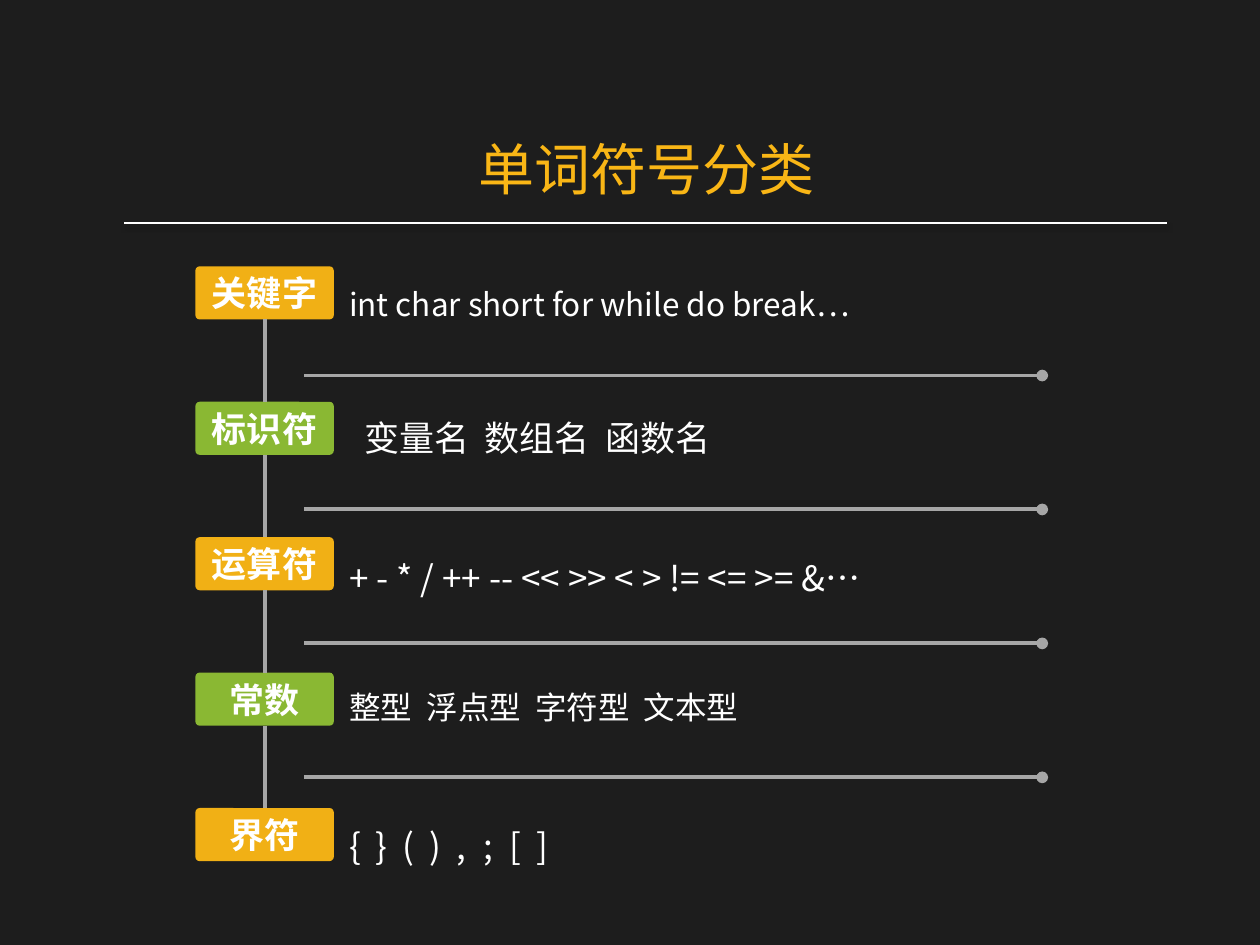
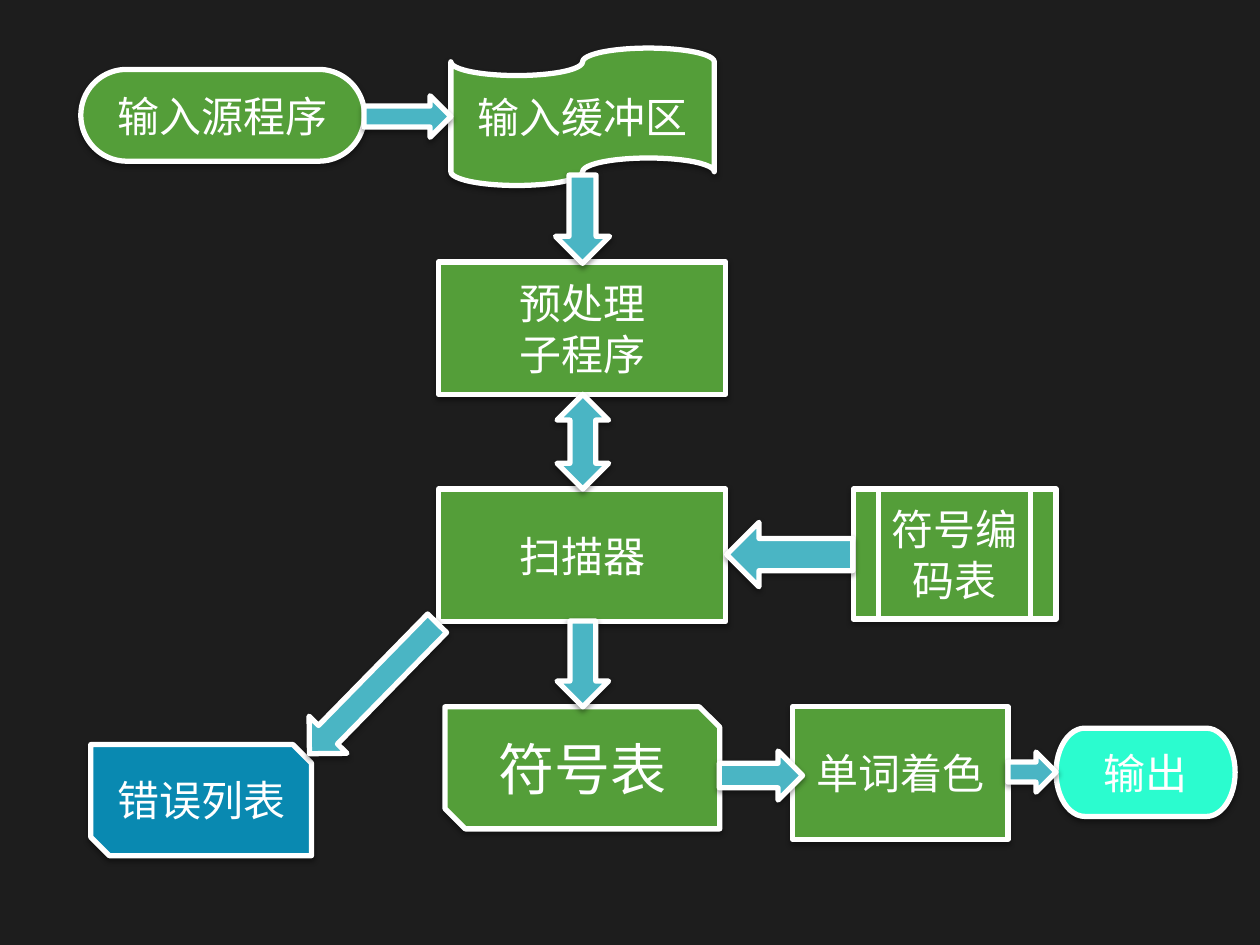
"""Builds two dark slides on lexical analysis: token classes and the scanner flow."""
from itertools import accumulate, pairwise

from lxml import etree
from pptx import Presentation
from pptx import util as u
from pptx.dml.color import RGBColor
from pptx.enum import shapes, text
from pptx.oxml.ns import qn

COLOURS = {
    "ground": "1D1D1D", "title": "F9B616", "white": "FFFFFF", "rule": "A6A6A6",
    "amber": "F1B015", "lime": "8AB833", "green": "549E39", "blue": "0989B1",
    "mint": "2BFCCF", "teal": "4AB5C4", "shadow": "000000",
}
BODY_FONT = "Noto Sans CJK SC"
LABEL_FONT = "TeX Gyre Adventor"
PRESET = shapes.MSO_SHAPE
TIGHT = (0.18, 0.1)


def rgb(name):
    return RGBColor.from_string(COLOURS[name])


def add_shadow(effects):
    outer = etree.SubElement(
        effects, qn("a:outerShdw"), blurRad=str(u.Pt(3.1)), dist=str(u.Pt(1.6)),
        dir=str(90 * 60000), algn="ctr", rotWithShape="0")
    tone = etree.SubElement(outer, qn("a:srgbClr"), val=COLOURS["shadow"])
    etree.SubElement(tone, qn("a:alpha"), val="38000")


class Deck:
    def __init__(self):
        self.prs = Presentation()
        self.prs.slide_width, self.prs.slide_height = u.Cm(25.4), u.Cm(19.05)
        ground = self.prs.slide_master.background.fill
        ground.solid()
        ground.fore_color.rgb = rgb("ground")
        self.slide = None

    def new_slide(self, layout):
        self.slide = self.prs.slides.add_slide(self.prs.slide_layouts.get_by_name(layout))

    def set_words(self, frame, words, size, colour="white", font=BODY_FONT, bold=False,
                  align=text.PP_ALIGN.LEFT, spacing=None, tabs=(), insets=None):
        frame.text = words
        frame.word_wrap = True
        if insets:
            frame.margin_left = frame.margin_right = u.Cm(insets[0])
            frame.margin_top = frame.margin_bottom = u.Cm(insets[1])
        for paragraph in frame.paragraphs:
            if tabs:
                stops = etree.SubElement(paragraph._p.get_or_add_pPr(), qn("a:tabLst"))
                for stop in tabs:
                    etree.SubElement(stops, qn("a:tab"), pos=str(u.Cm(stop)), algn="l")
            paragraph.alignment = align
            if spacing:
                paragraph.line_spacing = spacing
            for run in paragraph.runs:
                run.font.size, run.font.bold, run.font.name = u.Pt(size), bold, font
                run.font.color.rgb = rgb(colour)
                etree.SubElement(run._r.get_or_add_rPr(), qn("a:ea"), typeface=BODY_FONT)

    def title(self, words, box):
        heading = self.slide.shapes.title
        heading.left, heading.top, heading.width, heading.height = map(u.Cm, box)
        self.set_words(heading.text_frame, words, 32, "title", align=text.PP_ALIGN.CENTER)
        heading.text_frame.auto_size = text.MSO_AUTO_SIZE.NONE
        heading.text_frame.vertical_anchor = text.MSO_ANCHOR.TOP

    def note(self, words, box, size, tabs=()):
        frame = self.slide.shapes.add_textbox(*map(u.Cm, box)).text_frame
        self.set_words(frame, words, size, spacing=1.3, tabs=tabs, insets=TIGHT)

    def block(self, preset, box, fill, outlined=True, turn=0):
        block = self.slide.shapes.add_shape(preset, *map(u.Cm, box))
        block.rotation = turn
        block.fill.solid()
        block.fill.fore_color.rgb = rgb(fill)
        block.shadow.inherit = False
        if outlined:
            block.line.color.rgb = rgb("white")
            block.line.width = u.Pt(3)
            add_shadow(block._element.spPr.find(qn("a:effectLst")))
        else:
            block.line.fill.background()
        return block

    def step(self, words, preset, box, fill="green", size=24):
        stage = self.block(preset, box, fill)
        self.set_words(stage.text_frame, words, size, font=LABEL_FONT,
                       align=text.PP_ALIGN.CENTER)

    def tag(self, words, box, fill):
        tag = self.block(PRESET.ROUNDED_RECTANGLE, box, fill, outlined=False)
        tag.adjustments[0] = 0.08
        self.set_words(tag.text_frame, words, 20, font=LABEL_FONT, bold=True,
                       align=text.PP_ALIGN.CENTER, insets=TIGHT)
        return tag

    def line(self, ends=(0, 0, 0, 0), colour="rule", width=2.25, dot=False, shadow=False):
        line = self.slide.shapes.add_connector(shapes.MSO_CONNECTOR.STRAIGHT, *map(u.Cm, ends))
        line.line.color.rgb = rgb(colour)
        line.line.width = u.Pt(width)
        if dot:
            outline = line._element.spPr.find(qn("a:ln"))
            etree.SubElement(outline, qn("a:headEnd"), type="oval")
        effects = etree.SubElement(line._element.spPr, qn("a:effectLst"))
        if shadow:
            add_shadow(effects)
        return line

    def link(self, upper, lower):
        stem = self.line()
        stem.begin_connect(upper, 2)
        stem.end_connect(lower, 0)


def token_classes(deck):
    deck.new_slide("Title Only")
    deck.title("单词符号分类", (4.09, 2.59, 17.88, 1.63))
    deck.line((2.51, 4.5, 23.52, 4.5), "white", 1, shadow=True)
    classes = [
        ("关键字", "int char short for while do break…", (6.86, 5.41, 11.56, 1.19), 18, ()),
        ("标识符", "变量名\t数组名\t函数名", (7.16, 8.05, 14.15, 1.3), 20, (2.43, 4.86)),
        ("运算符", "+ - * / ++ -- << >> < > != <= >= &…", (6.86, 10.87, 14.48, 1.3), 20, ()),
        ("常数", "整型\t浮点型\t字符型\t文本型", (6.86, 13.54, 9.58, 1.19), 18,
         tuple(accumulate((1.56, 2.19, 2.19)))),
        ("界符", "{\t}\t(\t)\t,\t;\t[\t]", (6.86, 16.26, 8.18, 1.3), 20,
         [0.54 * stop for stop in range(1, 8)]),
    ]
    tags = []
    for row, (name, examples, box, size, tabs) in enumerate(classes):
        fill = "lime" if row % 2 else "amber"
        tags.append(deck.tag(name, (3.94, 5.37 + 2.73 * row, 2.79, 1.07), fill))
        deck.note(examples, box, size, tabs)
    for row, (upper, lower) in enumerate(pairwise(tags)):
        deck.link(upper, lower)
        divider = 7.57 + 2.7 * row
        deck.line((21.01, divider, 6.12, divider), dot=True)


def scanner_flow(deck):
    deck.new_slide("Blank")
    deck.step("预处理\n子程序", PRESET.RECTANGLE, (8.84, 5.28, 5.79, 2.67))
    deck.step("输入源程序", PRESET.FLOWCHART_TERMINATOR, (1.63, 1.4, 5.72, 1.85))
    deck.step("输入缓冲区", PRESET.FLOWCHART_PUNCHED_TAPE, (9.09, 0.97, 5.31, 2.77))
    deck.step("扫描器", PRESET.RECTANGLE, (8.84, 9.86, 5.79, 2.67))
    deck.step("符号编码表", PRESET.FLOWCHART_PREDEFINED_PROCESS, (17.2, 9.86, 4.09, 2.62))
    deck.step("错误列表", PRESET.SNIP_2_DIAG_RECTANGLE, (1.83, 15.01, 4.45, 2.24), "blue")
    deck.step("符号表", PRESET.SNIP_2_DIAG_RECTANGLE, (8.97, 14.25, 5.54, 2.46), size=32)
    deck.step("单词着色", PRESET.RECTANGLE, (15.98, 14.25, 4.34, 2.67))
    deck.step("输出", PRESET.FLOWCHART_TERMINATOR, (21.29, 14.68, 3.61, 1.78), "mint")
    arrows = [
        (PRESET.UP_DOWN_ARROW, (11.23, 7.95, 1.04, 1.91), 0),
        (PRESET.RIGHT_ARROW, (7.34, 1.93, 1.75, 0.84), 0),
        (PRESET.DOWN_ARROW, (6.99, 12.04, 1.07, 3.68), 44.4),
        (PRESET.DOWN_ARROW, (11.23, 12.52, 1.04, 1.73), 0),
        (PRESET.RIGHT_ARROW, (14.5, 15.14, 1.68, 0.99), 0),
        (PRESET.DOWN_ARROW, (15.27, 9.91, 1.3, 2.54), 90),
        (PRESET.DOWN_ARROW, (11.2, 3.53, 1.09, 1.78), 0),
        (PRESET.RIGHT_ARROW, (20.32, 15.16, 0.97, 0.81), 0),
    ]
    for preset, box, turn in arrows:
        deck.block(preset, box, "teal", turn=turn)


def main():
    deck = Deck()
    token_classes(deck)
    scanner_flow(deck)
    deck.prs.save("out.pptx")


if __name__ == "__main__":
    main()
